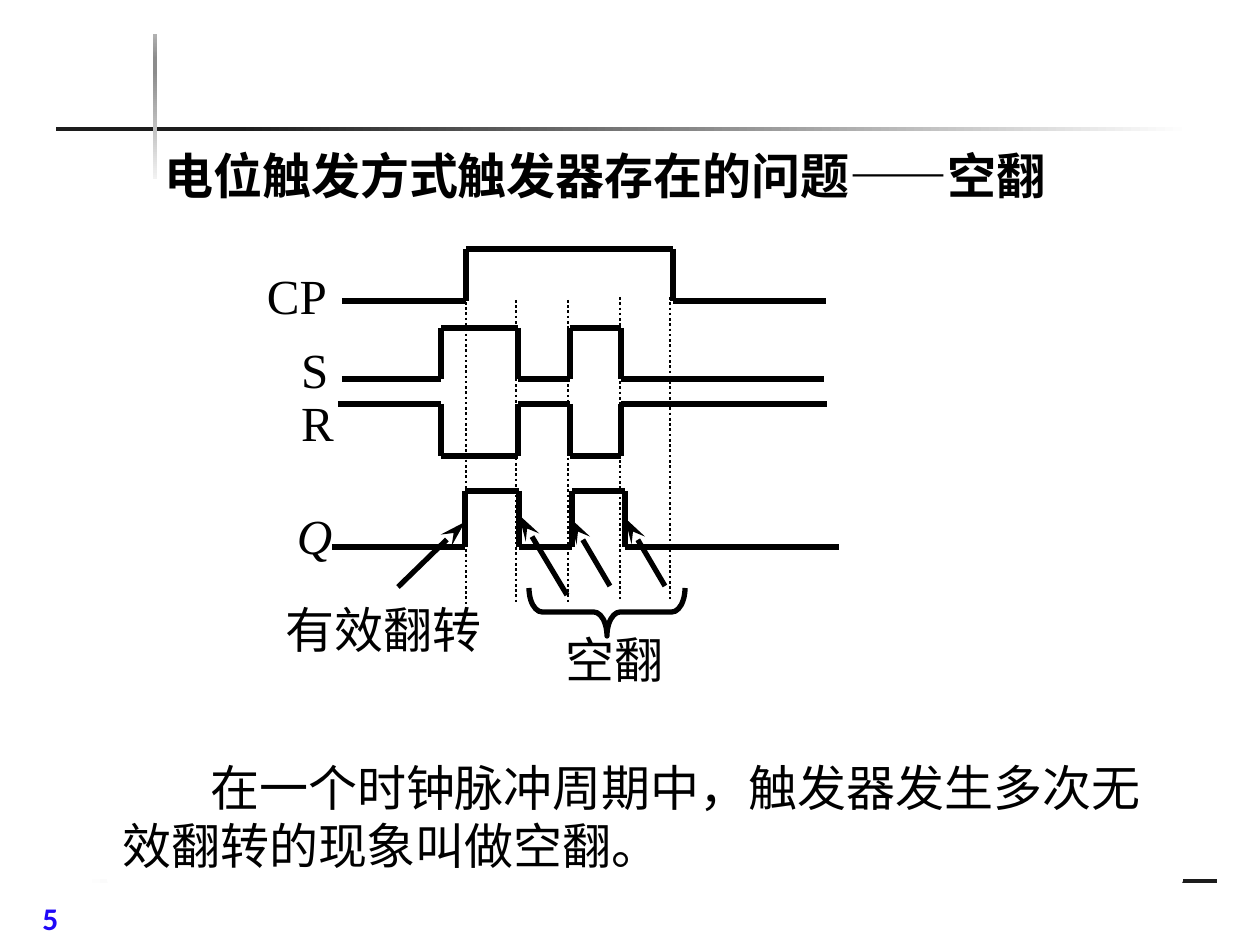
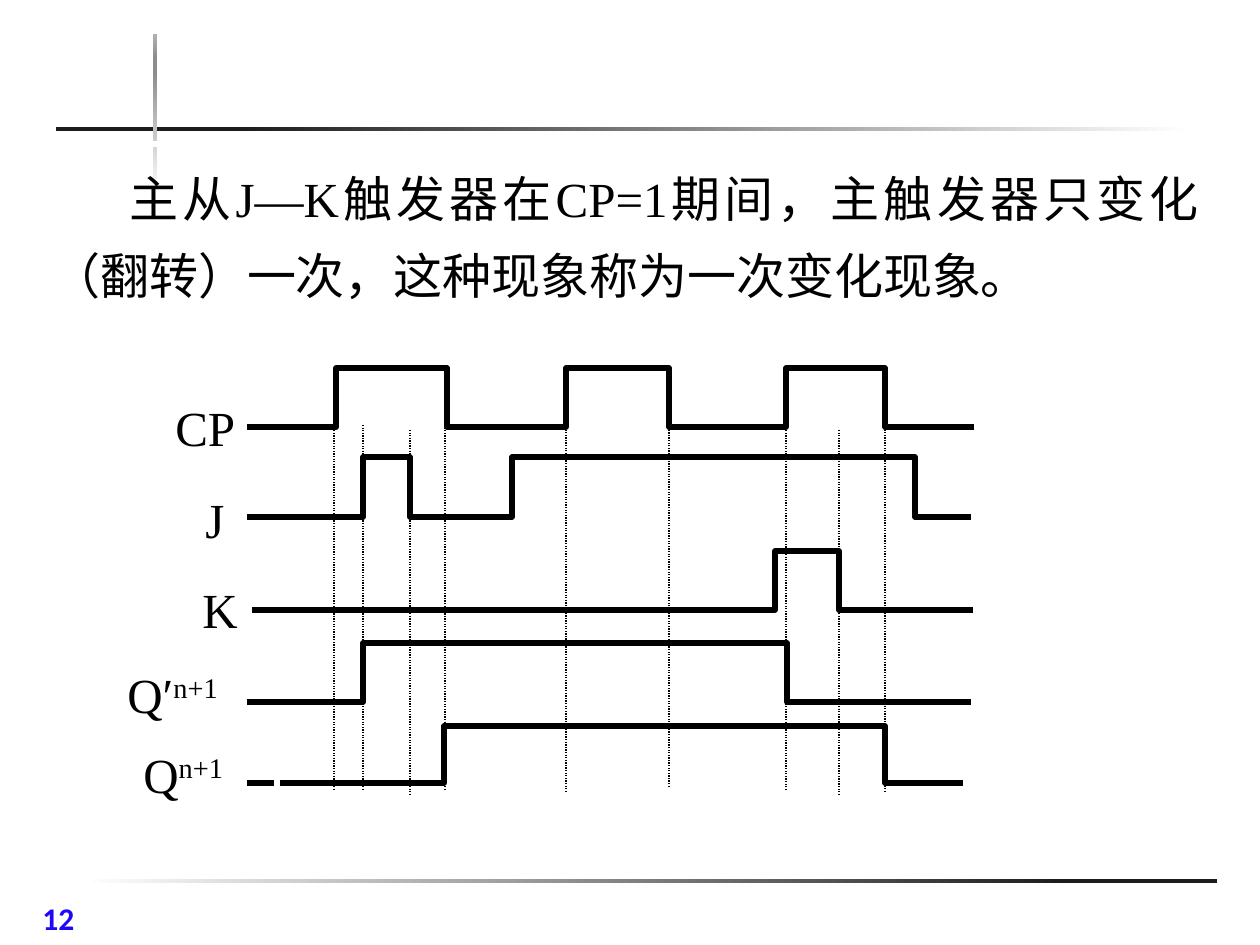
import itertools

import pptx
import pptx.dml.color
import pptx.enum.dml
import pptx.enum.shapes
import pptx.enum.text
import pptx.oxml
import pptx.oxml.ns
import pptx.util

# Shared look
SCALE = 914400 / 126  # EMU per pixel
BLACK = pptx.dml.color.RGBColor(0x00, 0x00, 0x00)
WHITE = pptx.dml.color.RGBColor(0xFF, 0xFF, 0xFF)
BLUE = pptx.dml.color.RGBColor(0x1F, 0x08, 0xF8)
SERIF = "Times New Roman"
HAN = "Noto Sans CJK SC"
NUMBER_FONT = "Calibri"
DRAWING_NS = 'xmlns:a="http://schemas.openxmlformats.org/drawingml/2006/main"'
DOTTED = pptx.enum.dml.MSO_LINE.ROUND_DOT
JUSTIFY = pptx.enum.text.PP_ALIGN.JUSTIFY

# Rules of the frame: place, gradient direction in degrees, stops
RULES = [
    ((83, 879, 1134, 4), 0, [(0, "FFFFFF"), (87, "1C1C1C")]),
    ((56, 127, 1134, 4), 0, [(16, "1C1C1C"), (100, "FFFFFF")]),
    ((153, 34, 4, 145), 270,
     [(0, "F2F2F2"), (74, "8C8C8C"), (83, "8C8C8C"), (100, "B2B2B2")]),
]


def px(length):
    return pptx.util.Emu(round(length * SCALE))


def style_line(line, color=BLACK, width=3, dash=None):
    line.color.rgb = color
    line.width = pptx.util.Pt(width)
    if dash is not None:
        line.dash_style = dash


def add_gradient_rule(page, place, angle, stops):
    rule = page.shapes.add_shape(
        pptx.enum.shapes.MSO_SHAPE.RECTANGLE, *map(px, place))
    rule.shadow.inherit = False
    rule.line.fill.background()
    marks = "".join(
        f'<a:gs pos="{position * 1000}"><a:srgbClr val="{color}"/></a:gs>'
        for position, color in stops)
    gradient = pptx.oxml.parse_xml(
        f'<a:gradFill {DRAWING_NS} rotWithShape="1"><a:gsLst>{marks}</a:gsLst>'
        f'<a:lin ang="{angle * 60000}" scaled="0"/></a:gradFill>')
    rule._element.spPr.find(pptx.oxml.ns.qn("a:prstGeom")).addnext(gradient)


def add_text(page, text, place, font=SERIF, size=28, color=BLACK, bold=False,
             italic=False, superscript="", inset=True, wrap=True, frame=False,
             indent=0, align=None, line_spacing=None):
    box = page.shapes.add_textbox(*map(px, place))
    if frame:
        style_line(box.line, WHITE)
    body = box.text_frame
    body.word_wrap = wrap
    if not inset:
        body.margin_left = body.margin_right = 0
        body.margin_top = body.margin_bottom = 0
    para = body.paragraphs[0]
    para.alignment = align
    para.line_spacing = line_spacing
    if indent:
        para._p.get_or_add_pPr().set("indent", str(px(indent)))
    for words, baseline in ((text, 0), (superscript, 30000)):
        if not words:
            continue
        span = para.add_run()
        span.text = words
        span.font.name = font
        span.font.size = pptx.util.Pt(size)
        span.font.color.rgb = color
        span.font.bold = bold
        span.font.italic = italic
        properties = span._r.get_or_add_rPr()
        properties.find(pptx.oxml.ns.qn("a:latin")).addnext(
            pptx.oxml.parse_xml(f'<a:ea {DRAWING_NS} typeface="{HAN}"/>'))
        if baseline:
            properties.set("baseline", str(baseline))


def add_line(page, start, end, width=3, dash=None, arrow=False):
    line = page.shapes.add_connector(
        pptx.enum.shapes.MSO_CONNECTOR.STRAIGHT, *map(px, start + end))
    style_line(line.line, width=width, dash=dash)
    if arrow:
        line.line._get_or_add_ln().append(pptx.oxml.parse_xml(
            f'<a:tailEnd {DRAWING_NS} type="stealth" w="med" len="lg"/>'))
    line._element.spPr.append(
        pptx.oxml.parse_xml(f"<a:effectLst {DRAWING_NS}/>"))


def wave_points(xs, start_level, other_level):
    """Corners of a square wave: xs are its start, its edges and its end."""
    levels = itertools.cycle((start_level, other_level))
    return [(x, level) for pair, level in zip(itertools.pairwise(xs), levels)
            for x in pair]


def add_line_wave(page, xs, start_level, other_level):
    for start, end in itertools.pairwise(
            wave_points(xs, start_level, other_level)):
        add_line(page, start, end)


def add_outline_wave(page, xs, start_level, other_level):
    first, *others = wave_points(xs, start_level, other_level)
    builder = page.shapes.build_freeform(*first, scale=SCALE)
    builder.add_line_segments(others, close=False)
    wave = builder.convert_to_shape()
    wave.shadow.inherit = False
    wave.fill.background()
    style_line(wave.line)


def add_brace(page, place):
    brace = page.shapes.add_shape(
        pptx.enum.shapes.MSO_SHAPE.LEFT_BRACE, *map(px, place))
    brace.rotation = 270
    brace.adjustments[0] = 0.275
    brace.adjustments[1] = 0.5
    brace.shadow.inherit = False
    brace.fill.background()
    style_line(brace.line)


def add_page(deck, number):
    page = deck.slides.add_slide(deck.slide_layouts[6])
    page.background.fill.solid()
    page.background.fill.fore_color.rgb = WHITE
    for rule in RULES:
        add_gradient_rule(page, *rule)
    add_text(page, number, (30, 893, 125, 47), font=NUMBER_FONT, size=18,
             color=BLUE, bold=True)
    return page


def build_level_trigger_page(deck):
    page = add_page(deck, "5")
    add_text(page, "电位触发方式触发器存在的问题——空翻", (152, 139, 924, 72),
             font=HAN, bold=True)

    # Signals
    edges = (441, 518, 570, 621)
    add_line_wave(page, (342, *edges, 824), 379, 328)
    add_line_wave(page, (338, *edges, 827), 404, 456)
    add_line_wave(page, (342, 466, 673, 826), 301, 249)
    add_line_wave(page, (332, 465, 519, 572, 625, 839), 547, 491)
    for name, place in (("CP", (267, 266, 60, 59)), ("S", (301, 339, 42, 59)),
                        ("R", (301, 393, 33, 59)), ("Q", (297, 505, 35, 59))):
        add_text(page, name, place, italic=name == "Q", inset=False, wrap=False)

    # Arrows to the flips, and their names
    for start, tip in (((398, 587), (465, 522)), ((567, 595), (519, 515)),
                       ((610, 586), (570, 518)), ((665, 586), (625, 518))):
        add_line(page, start, tip, arrow=True)
    add_text(page, "有效翻转", (286, 599, 197, 59), font=HAN, inset=False,
             wrap=False, frame=True)
    add_text(page, "空翻", (566, 630, 98, 59), font=HAN, inset=False,
             wrap=False, frame=True)

    # Time marks
    for x, top in ((466, 302), (516, 300), (568, 300), (620, 297), (670, 297)):
        add_line(page, (x, top), (x, top + 304), width=1.5, dash=DOTTED)
    add_brace(page, (583, 534, 48, 156))

    add_text(page, "在一个时钟脉冲周期中，触发器发生多次无效翻转的现象叫做空翻。",
             (110, 751, 1070, 130), font=HAN, frame=True, indent=88)


def build_master_slave_page(deck):
    page = add_page(deck, "12")
    add_text(page, "主从J—K触发器在CP=1期间，主触发器只变化（翻转）一次，"
             "这种现象称为一次变化现象。", (39, 144, 1172, 160), frame=True,
             indent=78, align=JUSTIFY, line_spacing=1.31)

    # Time marks
    for x, top in ((334, 425), (363, 425), (410, 430), (445, 425), (566, 427),
                   (669, 422), (786, 425), (839, 430), (885, 427)):
        add_line(page, (x, top), (x, top + 366), width=0.75, dash=DOTTED)

    # Signals: edges, start level, other level
    for signal in (((247, 336, 447, 566, 669, 786, 885, 974), 427, 368),
                   ((247, 363, 410, 512, 915, 971), 517, 457),
                   ((252, 775, 839, 973), 610, 551),
                   ((247, 363, 787, 971), 702, 643),
                   ((247, 444, 885, 963), 783, 726)):
        add_outline_wave(page, *signal)
    for name, power, place in (("CP", "", (163, 391, 101, 72)),
                               ("J", "", (193, 483, 59, 72)),
                               ("K", "", (190, 573, 59, 72)),
                               ("Q′", "n+1", (115, 658, 146, 72)),
                               ("Q", "n+1", (131, 738, 146, 72))):
        add_text(page, name, place, superscript=power, frame=name == "Q")


def main():
    deck = pptx.Presentation()
    deck.slide_width = px(1260)
    deck.slide_height = px(945)
    build_level_trigger_page(deck)
    build_master_slave_page(deck)
    deck.save("out.pptx")


main()
